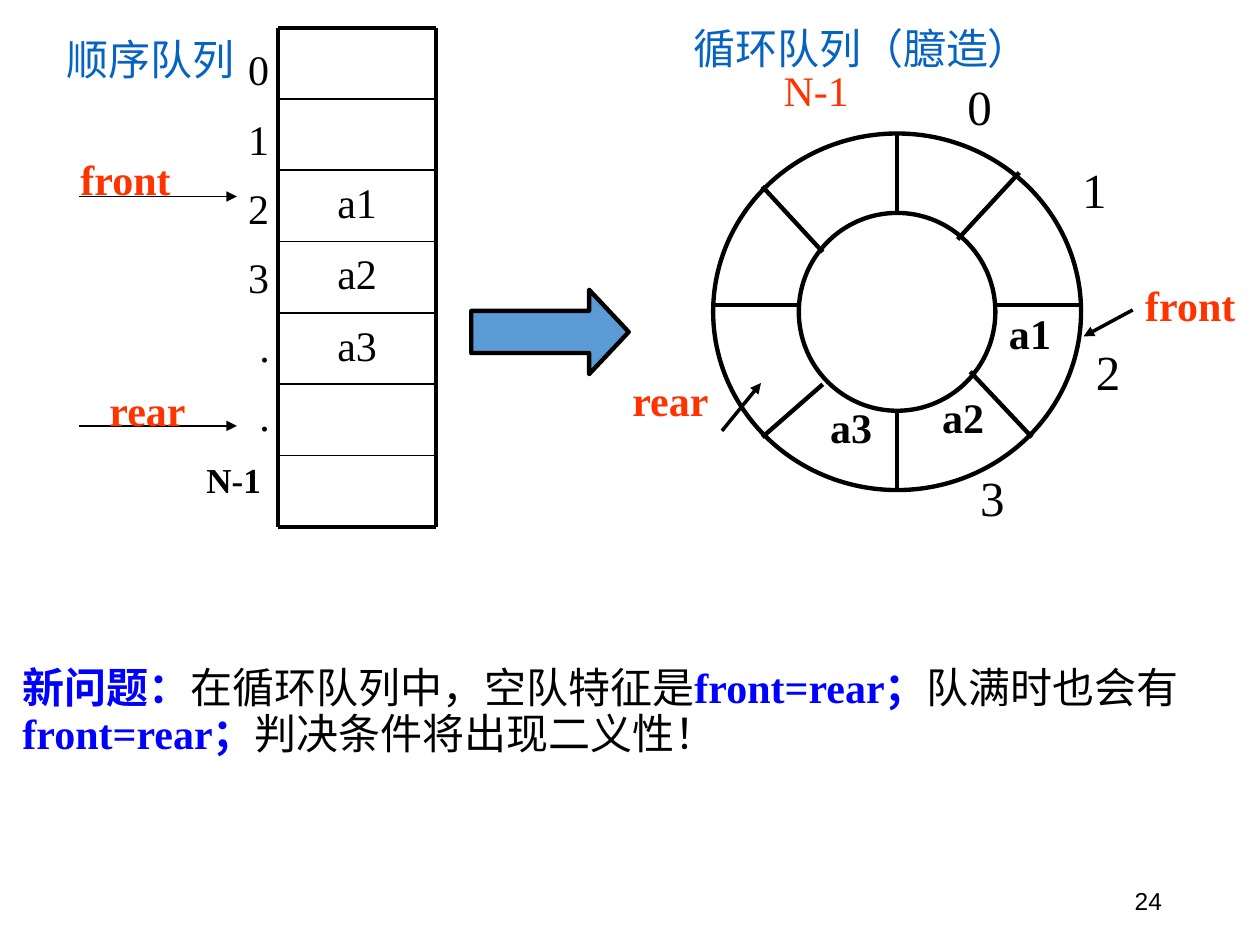
from typing import NamedTuple

from pptx import Presentation
from pptx.dml.color import RGBColor
from pptx.enum.shapes import MSO_CONNECTOR, MSO_SHAPE
from pptx.enum.text import MSO_ANCHOR, MSO_AUTO_SIZE, PP_ALIGN
from pptx.oxml.ns import qn
from pptx.util import Inches, Pt
from lxml import etree

LINE = MSO_CONNECTOR.STRAIGHT
OVAL = MSO_SHAPE.OVAL
ARROW = MSO_SHAPE.RIGHT_ARROW
GROW = MSO_AUTO_SIZE.SHAPE_TO_FIT_TEXT
MIDDLE = MSO_ANCHOR.MIDDLE
LEFT, CENTER, RIGHT = PP_ALIGN.LEFT, PP_ALIGN.CENTER, PP_ALIGN.RIGHT

SERIF, HAN, SANS = "Times New Roman", "Noto Sans CJK JP", "Arial"
COLORS = {
    "black": "000000",
    "red": "FF3300",
    "title": "0563C1",
    "key": "0000FF",
    "arrow": "5B9BD5",
}


class Label(NamedTuple):
    text: str
    x: float
    y: float
    w: float
    h: float = 0.5
    size: float = 24
    color: str = "black"
    bold: bool = False
    align: PP_ALIGN = LEFT
    wrap: bool = False
    font: str = SERIF


class Stroke(NamedTuple):
    x1: float
    y1: float
    x2: float
    y2: float
    width: float
    head: bool = False


def hue(name: str) -> RGBColor:
    return RGBColor.from_string(COLORS[name])


def style(run, font: str, size: float, color: str, bold: bool) -> None:
    run.font.name = font
    run.font.size = Pt(size)
    run.font.color.rgb = hue(color)
    run.font.bold = bold


def add_box(slide, x: float, y: float, w: float, h: float, wrap: bool):
    box = slide.shapes.add_textbox(Inches(x), Inches(y), Inches(w), Inches(h))
    box.text_frame.word_wrap = wrap
    return box.text_frame


def add_label(slide, item: Label):
    frame = add_box(slide, item.x, item.y, item.w, item.h, item.wrap)
    if not item.wrap:
        frame.auto_size = GROW
    frame.text = item.text
    for para in frame.paragraphs:
        para.alignment = item.align
        for run in para.runs:
            style(run, item.font, item.size, item.color, item.bold)
    return frame


def add_stroke(slide, item: Stroke) -> None:
    ends = [Inches(n) for n in item[:4]]
    line = slide.shapes.add_connector(LINE, *ends)
    line.line.color.rgb = hue("black")
    line.line.width = Pt(item.width)
    if item.head:
        tail = etree.SubElement(line.line._get_or_add_ln(), qn("a:tailEnd"))
        tail.set("type", "triangle")
    etree.SubElement(line._element.spPr, qn("a:effectLst"))


def add_form(slide, kind, x: float, y: float, w: float, h: float):
    form = slide.shapes.add_shape(kind, Inches(x), Inches(y), Inches(w), Inches(h))
    form.shadow.inherit = False
    form.fill.background()
    form.line.color.rgb = hue("black")
    form.line.width = Pt(2.5)
    return form


def draw_ring(slide) -> None:
    for text, x, y in (("a3", 6.49, 3.14), ("a2", 7.38, 3.06), ("a1", 7.91, 2.39)):
        add_label(slide, Label(text, x, y, 0.53, bold=True))
    add_form(slide, OVAL, 6.34, 1.69, 1.56, 1.57)
    add_form(slide, OVAL, 5.66, 1.06, 2.92, 2.83)
    spokes = (
        (7.9, 2.42, 8.58, 2.42),
        (5.66, 2.42, 6.34, 2.42),
        (7.12, 1.06, 7.12, 1.69),
        (7.12, 3.26, 7.12, 3.89),
        (6.05, 1.48, 6.53, 2),
        (7.7, 2.95, 8.19, 3.47),
        (8.09, 1.37, 7.6, 1.9),
        (6.53, 3.05, 6.05, 3.47),
    )
    for ends in spokes:
        add_stroke(slide, Stroke(*ends, 2.5))
    spots = ((7.58, 0.56), (8.49, 1.22), (8.6, 2.66), (7.68, 3.66))
    for num, (x, y) in enumerate(spots):
        add_label(slide, Label(str(num), x, y, 0.4, 0.57, 28))
    add_label(slide, Label("N-1", 6.12, 0.46, 0.72, color="red"))
    add_stroke(slide, Stroke(5.73, 3.42, 6.04, 3.04, 2, True))
    add_label(slide, Label("rear", 4.92, 2.92, 0.81, color="red", bold=True))
    add_stroke(slide, Stroke(8.99, 2.46, 8.6, 2.67, 2, True))
    add_label(slide, Label("front", 8.99, 2.17, 0.92, color="red", bold=True))
    add_label(slide, Label("循环队列（臆造）", 5.41, 0.13, 2.9, color="title"))


def draw_queue(slide) -> None:
    left, right, top, base, rows = 2.21, 3.46, 0.22, 4.18, 7
    step = (base - top) / rows
    add_label(slide, Label("顺序队列", 0.43, 0.22, 1.55, color="title"))
    for row, text in enumerate(("a1", "a2", "a3"), start=2):
        cell = Label(text, left, top + row * step, right - left, step,
                     align=CENTER, wrap=True)
        add_label(slide, cell)
    for row in range(rows + 1):
        y = top + row * step
        add_stroke(slide, Stroke(left, y, right, y, 2.25 if row in (0, rows) else 1))
    for x in (left, right):
        add_stroke(slide, Stroke(x, top, x, base, 2.25))
    for y in (1.56, 3.38):
        add_stroke(slide, Stroke(0.63, y, 1.88, y, 0.75, True))
    add_label(slide, Label("front", 0.54, 1.17, 0.92, color="red", bold=True))
    add_label(slide, Label("rear", 0.77, 3, 0.81, color="red", bold=True))

    marks = Label("0\n1\n2\n3\n.\n.\nN-1", 1.54, 0.3, 0.75, 3.76, wrap=True)
    paras = add_label(slide, marks).paragraphs
    for para in paras:
        dent = {".": 0.42, "N-1": 0}.get(para.text, 0.33)
        para._p.get_or_add_pPr().set("marL", str(Inches(dent)))
    for para in paras[1:]:
        para.space_before = Pt(10.7)
    style(paras[-1].runs[0], SERIF, 20, "black", True)


def draw_note(slide) -> None:
    para = add_box(slide, 0.08, 5.25, 9.92, 1.73, True).paragraphs[0]
    para.line_spacing = 0.9
    parts = ("新问题：", "在循环队列中，空队特征是", "front=rear；",
             "队满时也会有", "front=rear；", "判决条件将出现二义性！")
    for pos, text in enumerate(parts):
        run = para.add_run()
        run.text = text
        key = pos % 2 == 0
        style(run, SERIF if key else HAN, 24, "key" if key else "black", key)


def main() -> None:
    deck = Presentation()
    deck.slide_width, deck.slide_height = Inches(10), Inches(7.5)
    slide = deck.slides.add_slide(deck.slide_layouts[6])
    arrow = add_form(slide, ARROW, 3.74, 2.3, 1.25, 0.67)
    arrow.adjustments[1] = 0.47
    arrow.fill.solid()
    arrow.fill.fore_color.rgb = hue("arrow")
    draw_ring(slide)
    draw_note(slide)
    draw_queue(slide)
    page = Label("24", 7.07, 6.95, 2.25, 0.4, 14, align=RIGHT, wrap=True, font=SANS)
    add_label(slide, page).vertical_anchor = MIDDLE
    deck.save("out.pptx")


if __name__ == "__main__":
    main()
